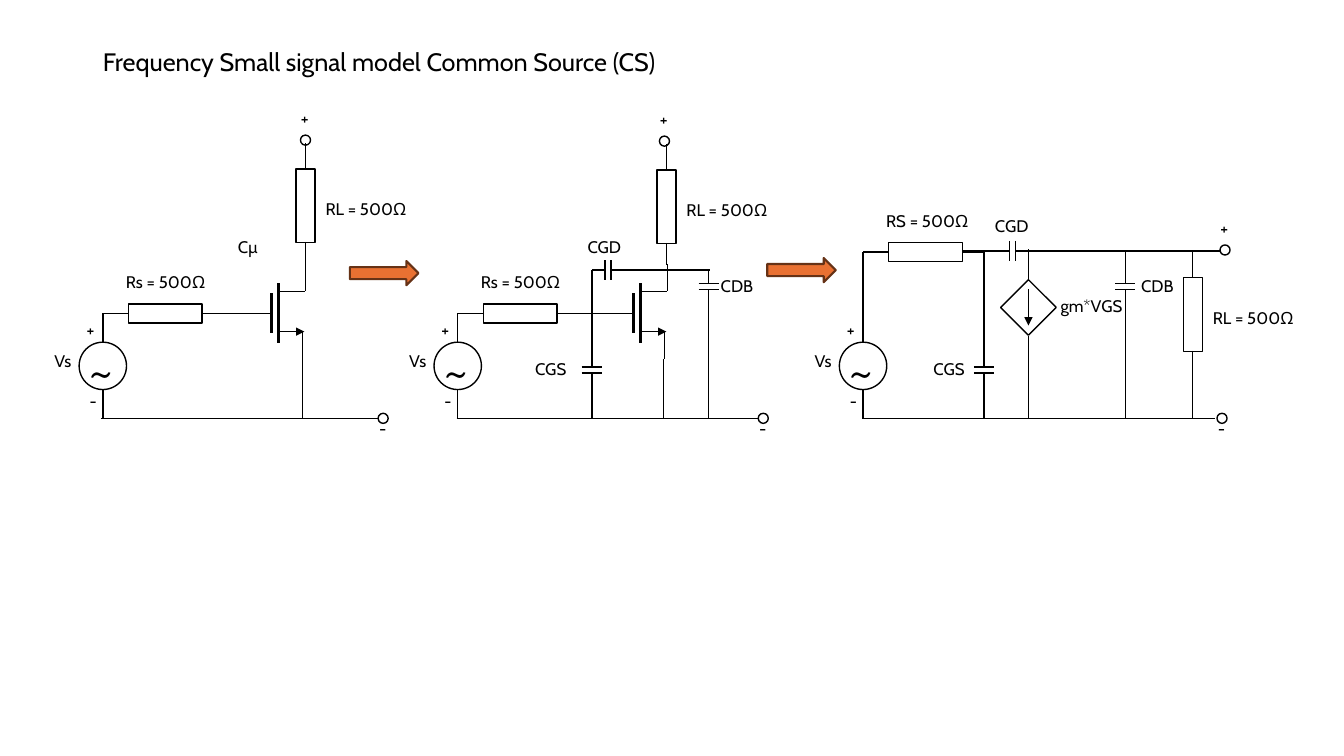
from dataclasses import dataclass

from lxml import etree
from pptx import Presentation
from pptx.dml.color import RGBColor
from pptx.enum import shapes, text
from pptx.oxml import ns
from pptx.util import Inches, Pt

BLACK = RGBColor(0x00, 0x00, 0x00)
ORANGE = RGBColor(0xE9, 0x71, 0x32)
BROWN = RGBColor(0x66, 0x32, 0x16)
FONT = "Cabin"
GROUND = 4.15
SHAPE = shapes.MSO_SHAPE


@dataclass
class Wire:
    x1: float
    y1: float
    x2: float
    y2: float
    width: float = 1
    arrow: bool = False


@dataclass
class Label:
    words: str
    left: float
    top: float
    width: float
    height: float = 0.3
    size: float = 12
    rotation: float = 0


@dataclass
class Source:
    x: float
    top: float


@dataclass
class Resistor:
    words: str
    x: float
    y: float
    upright: bool = False


@dataclass
class Capacitor:
    x: float
    y: float
    upright: bool = True


@dataclass
class Terminal:
    sign: str
    x: float
    y: float


SOURCES = [Source(1.02, 3.11), Source(4.54, 3.11), Source(8.56, 2.5)]
RESISTORS = [
    Resistor("Rs = 500Ω", 1.64, 3.11),
    Resistor("RL = 500Ω", 3.03, 2.04, True),
    Resistor("Rs = 500Ω", 5.16, 3.11),
    Resistor("RL = 500Ω", 6.61, 2.05, True),
    Resistor("RS = 500Ω", 9.18, 2.5),
    Resistor("RL = 500Ω", 11.83, 3.12, True),
]
CAPACITORS = [
    Capacitor(6.03, 2.68, False), Capacitor(7.03, 2.84), Capacitor(5.87, 3.67),
    Capacitor(10.04, 2.49, False), Capacitor(11.16, 2.84), Capacitor(9.76, 3.67),
]
TERMINALS = [
    Terminal("+", 3.03, 1.39), Terminal("-", 3.8, GROUND),
    Terminal("+", 6.59, 1.4), Terminal("-", 7.57, GROUND),
    Terminal("+", 12.15, 2.48), Terminal("-", 12.12, GROUND),
]
TRANSISTORS = [2.76, 6.35]
ARROWS = [(3.47, 2.59), (7.61, 2.56)]
WIRES = [
    # Transistor circuit
    Wire(1, GROUND, 3.75, GROUND),
    Wire(3, 3.56, 3, GROUND),
    # Transistor with its capacitances
    Wire(4.53, GROUND, 7.53, GROUND),
    Wire(6.58, 3.56, 6.58, GROUND),
    Wire(6.11, 2.68, 7.04, 2.68),
    Wire(5.87, 2.68, 5.87, 3.54),
    Wire(5.87, 3.79, 5.87, GROUND),
    Wire(7.03, 2.99, 7.03, GROUND),
    # Small signal model
    Wire(8.55, GROUND, 12.05, GROUND),
    Wire(9.54, 2.49, 9.88, 2.49),
    Wire(10.2, 2.49, 12.1, 2.49),
    Wire(9.76, 2.49, 9.76, 3.51),
    Wire(9.76, 3.79, 9.76, GROUND),
    Wire(10.2, 3.63, 10.2, GROUND),
    Wire(11.16, 2.49, 11.16, 2.79),
    Wire(11.16, 2.99, 11.16, GROUND),
    Wire(11.83, 3.64, 11.83, GROUND),
]
LABELS = [
    Label("Cµ", 2.26, 2.3, 0.42),
    Label("CGD", 5.73, 2.3, 0.56),
    Label("CDB", 7.05, 2.69, 0.56),
    Label("CGS", 5.21, 3.51, 0.56),
    Label("CGD", 9.77, 2.09, 0.56),
    Label("CDB", 11.22, 2.69, 0.56),
    Label("CGS", 9.16, 3.51, 0.63),
    Label("gm*VGS", 10.42, 2.88, 0.88),
]


def add_wire(s, wire: Wire) -> None:
    ends = [Inches(v) for v in (wire.x1, wire.y1, wire.x2, wire.y2)]
    c = s.shapes.add_connector(shapes.MSO_CONNECTOR.STRAIGHT, *ends)
    c.line.color.rgb = BLACK
    c.line.width = Pt(wire.width)
    if wire.arrow:
        etree.SubElement(c.line._get_or_add_ln(), ns.qn("a:tailEnd"), type="triangle")
    etree.SubElement(c._element.spPr, ns.qn("a:effectLst"))


def add_label(s, label: Label) -> None:
    box = (label.left, label.top, label.width, label.height)
    sp = s.shapes.add_textbox(*[Inches(v) for v in box])
    sp.rotation = label.rotation
    tf = sp.text_frame
    tf.word_wrap = True
    p = tf.paragraphs[0]
    p.text = label.words
    style(p, label.size)


def style(p, size: float) -> None:
    p.font.name = FONT
    p.font.size = Pt(size)
    p.font.color.rgb = BLACK


def add_outline(s, kind, x: float, y: float, width: float, height: float,
                rotation: float = 0) -> None:
    """Draw an unfilled shape centred on x, y."""
    box = (x - width / 2, y - height / 2, width, height)
    sp = s.shapes.add_shape(kind, *[Inches(v) for v in box])
    sp.rotation = rotation
    sp.shadow.inherit = False
    sp.fill.background()
    sp.line.color.rgb = BLACK
    sp.line.width = Pt(1)


def add_source(s, source: Source) -> None:
    x = source.x
    add_outline(s, SHAPE.FLOWCHART_CONNECTOR, x, 3.63, 0.47, 0.47)
    add_wire(s, Wire(x, source.top, x, 3.39))
    add_wire(s, Wire(x, 3.86, x, GROUND))
    add_label(s, Label("Vs", x - 0.58, 3.43, 0.49))
    add_label(s, Label("~", x - 0.24, 3.25, 0.44, 0.77, 40))
    add_label(s, Label("+", x - 0.26, 3.12, 0.28))
    add_label(s, Label("-", x - 0.23, 3.83, 0.27))


def add_resistor(s, res: Resistor) -> None:
    x, y = res.x, res.y
    add_outline(s, SHAPE.RECTANGLE, x, y, 0.73, 0.19, 90 if res.upright else 0)
    for near, far in ((-0.37, -0.62), (0.36, 0.58)):
        if res.upright:
            add_wire(s, Wire(x, y + near, x, y + far))
        else:
            add_wire(s, Wire(x + near, y, x + far, y))
    dx, dy = (0.1, -0.12) if res.upright else (-0.49, -0.46)
    add_label(s, Label(res.words, x + dx, y + dy, 1.21))


def add_capacitor(s, cap: Capacitor) -> None:
    x, y = cap.x, cap.y
    for side in (-1, 1):
        plate, far = side * 0.03, side * 0.16
        if cap.upright:
            add_wire(s, Wire(x - 0.1, y + plate, x + 0.1, y + plate))
            add_wire(s, Wire(x, y + plate, x, y + far))
        else:
            add_wire(s, Wire(x + plate, y - 0.1, x + plate, y + 0.1))
            add_wire(s, Wire(x + plate, y, x + far, y))


def add_terminal(s, term: Terminal) -> None:
    add_outline(s, SHAPE.FLOWCHART_CONNECTOR, term.x, term.y, 0.1, 0.1, 180)
    top = term.y - 0.33 if term.sign == "+" else term.y - 0.01
    add_label(s, Label(term.sign, term.x - 0.15, top, 0.28, rotation=180))


def add_transistor(s, x: float) -> None:
    """Draw a MOSFET whose channel bar stands at x."""
    for wire in (
        Wire(x, 2.81, x, 3.4, 2.25),
        Wire(x - 0.07, 2.91, x - 0.07, 3.3, 2.25),
        Wire(x - 0.67, 3.11, x - 0.08, 3.11),
        Wire(x, 2.89, x + 0.27, 2.89),
        Wire(x + 0.27, 2.62, x + 0.27, 2.89),
        Wire(x, 3.29, x + 0.26, 3.29, arrow=True),
        Wire(x + 0.24, 3.29, x + 0.24, 3.56),
    ):
        add_wire(s, wire)


def add_current_source(s, x: float, y: float) -> None:
    add_outline(s, SHAPE.RECTANGLE, x, y, 0.39, 0.39, 45)
    add_wire(s, Wire(x, y - 0.18, x, y + 0.18, arrow=True))
    for side in (-1, 1):
        add_wire(s, Wire(x, y + side * 0.28, x, y + side * 0.58))


def add_block_arrow(s, left: float, top: float) -> None:
    box = (left, top, 0.68, 0.24)
    sp = s.shapes.add_shape(SHAPE.RIGHT_ARROW, *[Inches(v) for v in box])
    sp.shadow.inherit = False
    sp.fill.solid()
    sp.fill.fore_color.rgb = ORANGE
    sp.line.color.rgb = BROWN
    sp.line.width = Pt(1.5)


def add_title(s) -> None:
    sp = s.shapes.title
    sp.left, sp.top, sp.width, sp.height = [Inches(v) for v in (0.92, 0.4, 11.5, 0.41)]
    tf = sp.text_frame
    tf.auto_size = text.MSO_AUTO_SIZE.NONE
    tf.vertical_anchor = text.MSO_ANCHOR.BOTTOM
    p = tf.paragraphs[0]
    p.text = "Frequency Small signal model Common Source (CS)"
    p.alignment = text.PP_ALIGN.LEFT
    p.line_spacing = 0.9
    style(p, 18)


def main() -> None:
    prs = Presentation()
    prs.slide_width, prs.slide_height = Inches(13.33), Inches(7.5)
    s = prs.slides.add_slide(prs.slide_layouts[5])
    add_title(s)
    for draw, items in (
        (add_wire, WIRES), (add_source, SOURCES), (add_resistor, RESISTORS),
        (add_capacitor, CAPACITORS), (add_terminal, TERMINALS),
        (add_transistor, TRANSISTORS), (add_label, LABELS),
    ):
        for item in items:
            draw(s, item)
    add_current_source(s, 10.2, 3.05)
    for left, top in ARROWS:
        add_block_arrow(s, left, top)
    prs.save("out.pptx")


if __name__ == "__main__":
    main()
